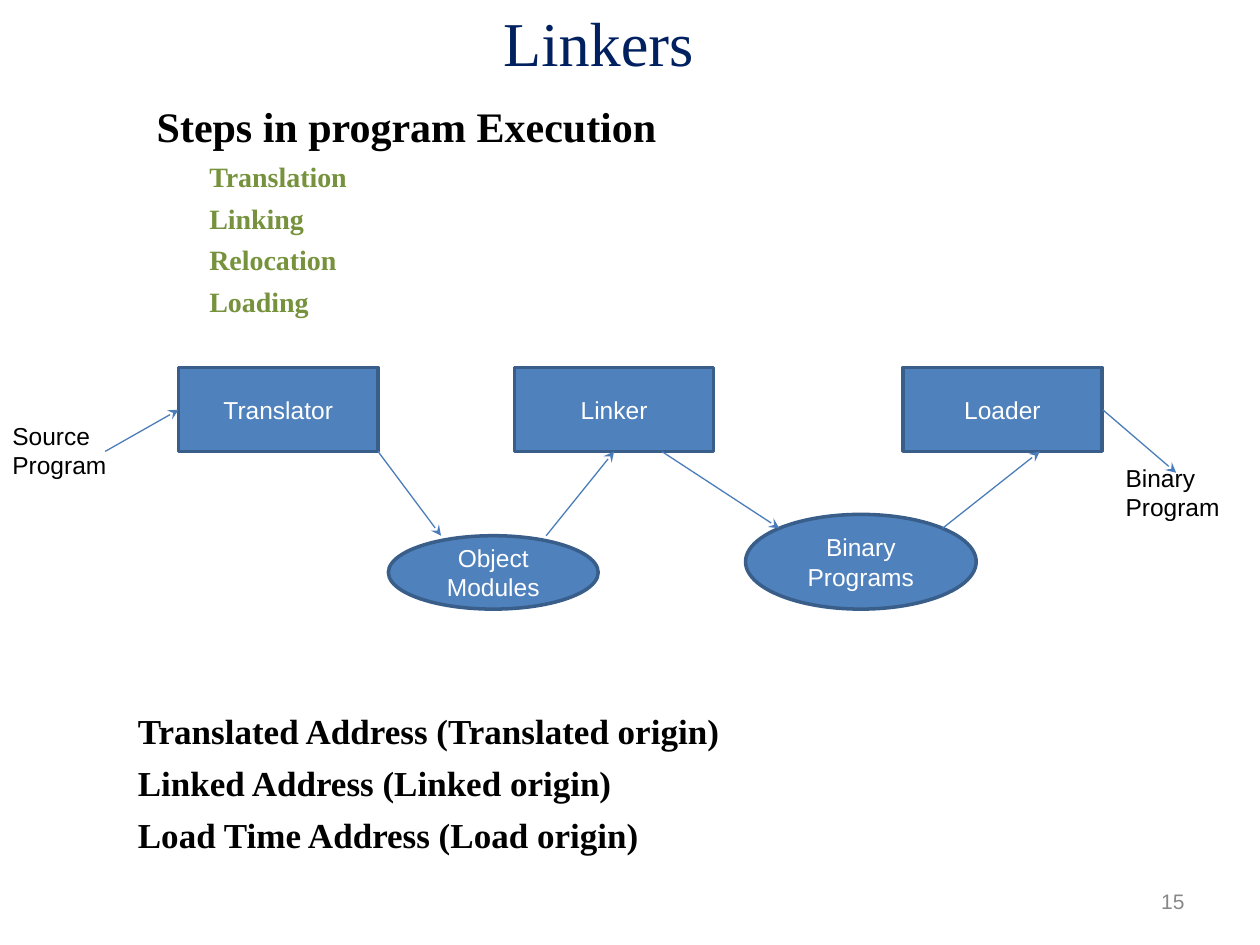
from dataclasses import dataclass

from lxml.etree import SubElement
from pptx import Presentation
from pptx.dml.color import RGBColor as Rgb
from pptx.enum.shapes import MSO_CONNECTOR as Conn, MSO_SHAPE as Kind
from pptx.enum.text import MSO_ANCHOR as Anchor, PP_ALIGN as Align
from pptx.oxml.ns import qn
from pptx.util import Cm, Pt

HUES = {
    "title": "002060", "text": "000000", "step": "76923C", "page": "888888",
    "fill": "4F81BD", "edge": "395E89", "arrow": "4A7DBA", "label": "FFFFFF",
}
SERIF, SANS = "Times New Roman", "Arial"


@dataclass
class Box:
    left: float
    top: float
    width: float
    height: float

    def place(self) -> tuple:
        return Cm(self.left), Cm(self.top), Cm(self.width), Cm(self.height)


@dataclass
class Line:
    text: str
    size: float
    hue: str
    font: str = SANS
    bold: bool = False
    align: Align = Align.LEFT
    gap: float = 0
    indent: float = 0


@dataclass
class Node:
    text: str
    kind: Kind
    box: Box


@dataclass
class Arrow:
    x1: float
    y1: float
    x2: float
    y2: float


def color(hue: str) -> Rgb:
    return Rgb.from_string(HUES[hue])


def write(frame, lines: list[Line], anchor: Anchor) -> None:
    frame.word_wrap = True
    frame.vertical_anchor = anchor
    for i, line in enumerate(lines):
        para = frame.add_paragraph() if i else frame.paragraphs[0]
        para.alignment = line.align
        if line.gap:
            para.space_before = Pt(line.gap)
        if line.indent:
            para._p.get_or_add_pPr().set("marL", str(Cm(line.indent)))
        run = para.add_run()
        run.text = line.text
        run.font.name, run.font.size = line.font, Pt(line.size)
        run.font.bold = line.bold
        run.font.color.rgb = color(line.hue)


def add_text(slide, box: Box, lines: list[Line], anchor: Anchor = Anchor.TOP) -> None:
    write(slide.shapes.add_textbox(*box.place()).text_frame, lines, anchor)


def add_node(slide, node: Node) -> None:
    shape = slide.shapes.add_shape(node.kind, *node.box.place())
    shape.shadow.inherit = False
    shape.fill.solid()
    shape.fill.fore_color.rgb = color("fill")
    shape.line.color.rgb = color("edge")
    shape.line.width = Pt(2)
    write(shape.text_frame, [Line(node.text, 14, "label", align=Align.CENTER)],
          Anchor.MIDDLE)


def add_arrow(slide, arrow: Arrow) -> None:
    link = slide.shapes.add_connector(
        Conn.STRAIGHT, Cm(arrow.x1), Cm(arrow.y1), Cm(arrow.x2), Cm(arrow.y2))
    link.line.color.rgb = color("arrow")
    link.line.width = Pt(0.75)
    SubElement(link.line._get_or_add_ln(), qn("a:tailEnd"), type="stealth")
    SubElement(link._element.spPr, qn("a:effectLst"))


TOP, BASE, MID = 7.41, 9.1, 8.26  # edges and middle of the box row
NODES = [
    *(Node(text, Kind.RECTANGLE, Box(left, TOP, 4.02, BASE - TOP))
      for text, left in (("Translator", 3.6), ("Linker", 10.37), ("Loader", 18.2))),
    Node("Object Modules", Kind.OVAL, Box(7.83, 10.8, 4.23, 1.48)),
    Node("Binary Programs", Kind.OVAL, Box(15.03, 10.37, 4.65, 1.91)),
]
ARROWS = [
    Arrow(7.62, BASE, 8.89, 10.8),
    Arrow(11.01, 10.8, 12.38, BASE),
    Arrow(13.34, BASE, 15.71, 10.65),
    Arrow(19, 10.65, 20.96, BASE),
    Arrow(2.12, BASE, 3.6, MID),
    Arrow(22.23, MID, 23.71, 9.53),
]
STEPS = ["Translation", "Linking", "Relocation", "Loading"]
STARTS = ["Translated Address (Translated origin)", "Linked Address (Linked origin)",
          "Load Time Address (Load origin)"]


def main() -> None:
    deck = Presentation()
    deck.slide_width, deck.slide_height = Cm(25.4), Cm(19.05)
    slide = deck.slides.add_slide(deck.slide_layouts[6])

    add_text(slide, Box(1.27, 0, 21.59, 1.69),
             [Line("Linkers", 35.6, "title", SERIF, align=Align.CENTER)], Anchor.MIDDLE)
    add_text(slide, Box(2.91, 1.91, 20, 4.8), [
        Line("Steps in program Execution", 24, "text", SERIF, True),
        *(Line(step, 16, "step", SERIF, True, gap=4.65, indent=1.06) for step in STEPS),
    ])
    add_text(slide, Box(2.53, 14.17, 20, 3.3), [
        Line(start, 20, "text", SERIF, True, gap=5.8 if i else 0)
        for i, start in enumerate(STARTS)
    ])
    for node in NODES:
        add_node(slide, node)
    for text, left, top in (("Source Program", 0, 8.36), ("Binary Program", 22.44, 9.21)):
        add_text(slide, Box(left, top, 3.18, 1.8), [Line(text, 14, "text")])
    for arrow in ARROWS:
        add_arrow(slide, arrow)
    add_text(slide, Box(18.2, 17.66, 5.93, 1.01),
             [Line("15", 12, "page", align=Align.RIGHT)], Anchor.MIDDLE)

    deck.save("out.pptx")


if __name__ == "__main__":
    main()
